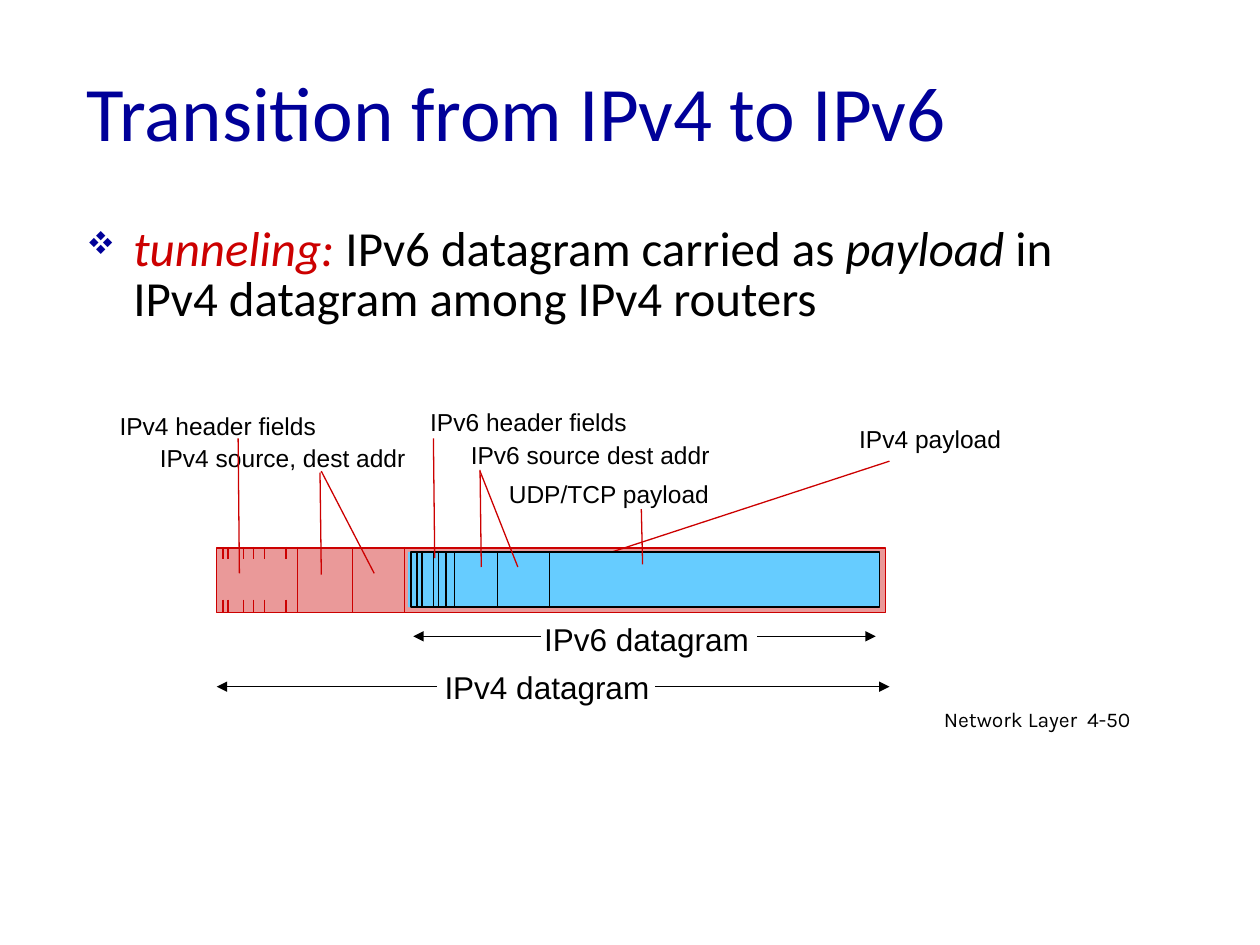
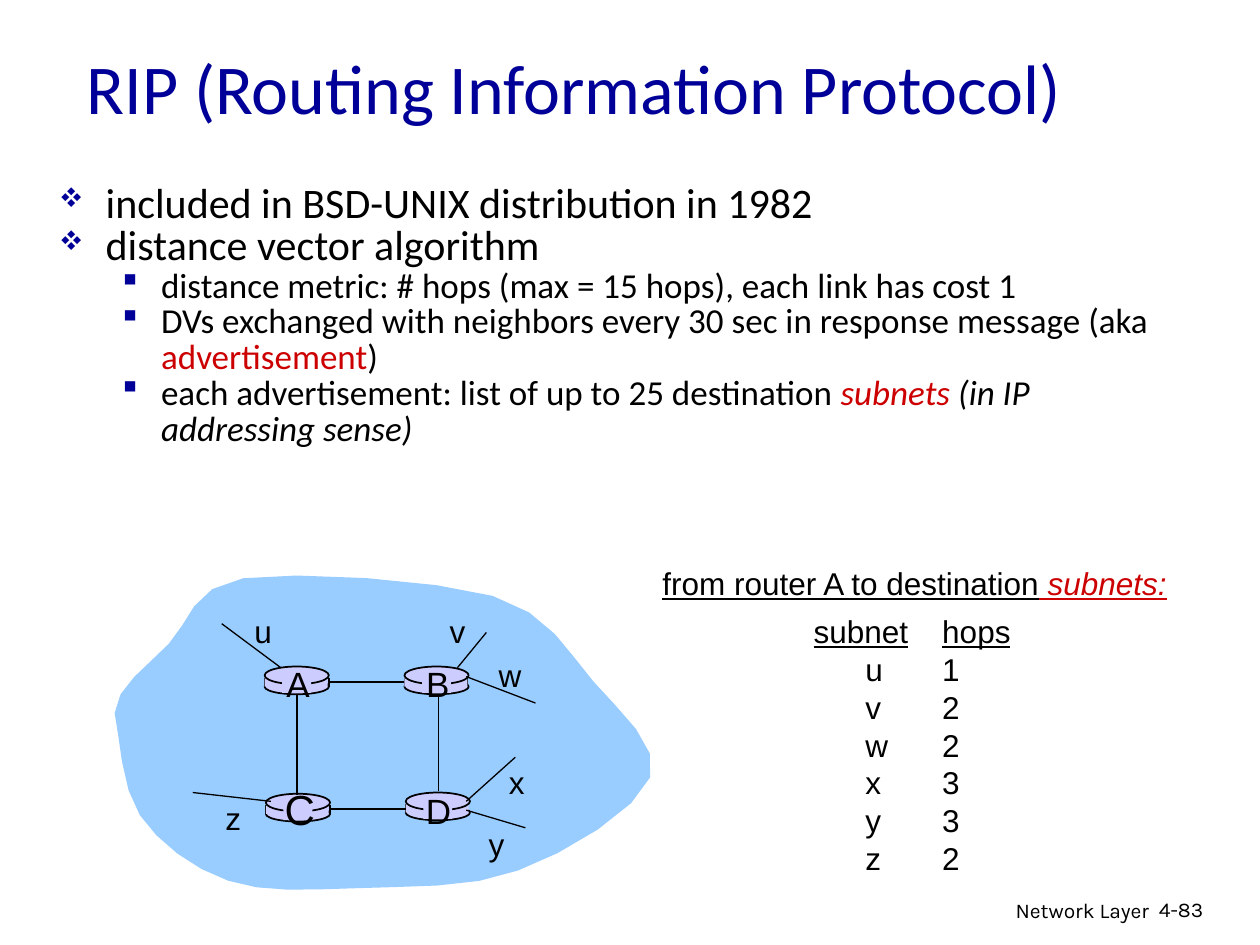
from lxml.etree import SubElement
from pptx import Presentation
from pptx.dml.color import RGBColor
from pptx.enum.shapes import MSO_CONNECTOR, MSO_SHAPE
from pptx.enum.text import MSO_ANCHOR, MSO_AUTO_SIZE, PP_ALIGN
from pptx.oxml.ns import qn
from pptx.util import Pt

PX = 9144  # 100 px to the inch
RECT, OVAL = MSO_SHAPE.RECTANGLE, MSO_SHAPE.OVAL
LEFT, MID, RIGHT = PP_ALIGN.LEFT, PP_ALIGN.CENTER, PP_ALIGN.RIGHT
TOP, CENTER = MSO_ANCHOR.TOP, MSO_ANCHOR.MIDDLE
GROW, FIXED = MSO_AUTO_SIZE.SHAPE_TO_FIT_TEXT, MSO_AUTO_SIZE.NONE
STRAIGHT = MSO_CONNECTOR.STRAIGHT


class Theme:
    navy = RGBColor.from_string("000099")
    red = RGBColor.from_string("CC0000")
    black = RGBColor.from_string("000000")
    blue = RGBColor.from_string("66CCFF")
    cloud = RGBColor.from_string("99CCFF")
    lilac = RGBColor.from_string("CCCCFF")
    head, label, foot, signs = "Calibri", "Arial", "Karla", "Wingdings"
    small, note, text, node, big = 12, 14, 18, 20, 24
    thin, thick = 0.75, 1
    tight = 0.85
    # level: left margin, hanging indent, Wingdings sign, sign size in percent
    bullets = {0: (37, -37, "v", 65), 1: (81, -31, "§", 100)}


def write(slide, box, paras, font=Theme.label, align=LEFT, wrap=False,
          anchor=TOP, space=None, tabs=()):
    """Each paragraph is (bullet level or None, size, runs);
    each run is (words, colour, flags), with i for italic and u for underline."""
    frame = slide.shapes.add_textbox(*(n * PX for n in box)).text_frame
    frame.word_wrap = wrap
    frame.auto_size = FIXED if wrap else GROW
    frame.vertical_anchor = anchor
    for i, (level, size, runs) in enumerate(paras):
        para = frame.add_paragraph() if i else frame.paragraphs[0]
        para.alignment = align
        if space:
            para.line_spacing = space
        props = para._p.get_or_add_pPr()
        if level is not None:
            para.level = level
            left, hang, sign, scale = Theme.bullets[level]
            props.set("marL", str(left * PX))
            props.set("indent", str(hang * PX))
            tint = SubElement(props, qn("a:buClr"))
            SubElement(tint, qn("a:srgbClr"), val=str(Theme.navy))
            SubElement(props, qn("a:buSzPct"), val=str(scale * 1000))
            SubElement(props, qn("a:buFont"), typeface=Theme.signs)
            SubElement(props, qn("a:buChar"), char=sign)
        if tabs:
            stops = SubElement(props, qn("a:tabLst"))
            for stop in tabs:
                SubElement(stops, qn("a:tab"), pos=str(stop * PX), algn="l")
        for words, color, flags in runs:
            run = para.add_run()
            run.text = words
            run.font.name, run.font.size = font, Pt(size)
            run.font.color.rgb = color
            run.font.italic = "i" in flags
            run.font.underline = "u" in flags


def draw(slide, ends, color=Theme.black, width=Theme.thin, arrow=False):
    """Straight line from the first point to the second."""
    line = slide.shapes.add_connector(STRAIGHT, *(n * PX for n in ends))
    line.line.color.rgb = color
    line.line.width = Pt(width)
    SubElement(line._element.spPr, qn("a:effectLst"))
    if arrow:
        SubElement(line.line._get_or_add_ln(), qn("a:tailEnd"), type="triangle")


deck = Presentation()
deck.slide_width, deck.slide_height = 1000 * PX, 750 * PX
NAVY, RED, BLACK = Theme.navy, Theme.red, Theme.black

# Titles, bullets and footers
pages = [
    dict(title="Transition from IPv4 to IPv6", size=44, top=(59, 25, 850, 125),
         body=(59, 175, 850, 107), foot=(548, 556), page="4-50",
         points=[
             (0, 28, [("tunneling:", RED, "i"),
                      (" IPv6 datagram carried as ", BLACK, ""),
                      ("payload", BLACK, "i"),
                      (" in IPv4 datagram among IPv4 routers", BLACK, "")])]),
    dict(title="RIP (Routing Information Protocol)", size=40, top=(59, 17, 894, 103),
         body=(37, 141, 915, 185), foot=(605, 707), page="4-83",
         points=[
             (0, 24, [("included in BSD-UNIX distribution in 1982", BLACK, "")]),
             (0, 24, [("distance vector algorithm", BLACK, "")]),
             (1, 20, [("distance metric: # hops (max = 15 hops), "
                       "each link has cost 1", BLACK, "")]),
             (1, 20, [("DVs exchanged with neighbors every 30 sec "
                       "in response message (aka ", BLACK, ""),
                      ("advertisement", RED, ""), (")", BLACK, "")]),
             (1, 20, [("each advertisement: list of up to 25 destination ", BLACK, ""),
                      ("subnets ", RED, "i"),
                      ("(in IP addressing sense)", BLACK, "i")])]),
]
slides = []
for page in pages:
    slide = deck.slides.add_slide(deck.slide_layouts[6])
    slides.append(slide)
    write(slide, page["top"], [(None, page["size"], [(page["title"], NAVY, "")])],
          Theme.head, wrap=True, anchor=CENTER)
    write(slide, page["body"], page["points"], Theme.head, wrap=True,
          space=Theme.tight)
    x, y = page["foot"]
    write(slide, (x, y, 317, 31), [(None, Theme.small, [("Network Layer", BLACK, "")])],
          Theme.foot, RIGHT, wrap=True)
    write(slide, (x + 305, y, 74, 30), [(None, Theme.small, [(page["page"], BLACK, "")])],
          Theme.foot, wrap=True)
tunnel, rip = slides

# Tunnel: payload pointer, then the nested datagrams over it
draw(tunnel, (706, 366, 440, 453), RED)
for box, fill, edge, width, alpha in [
    ((172, 435, 531, 51), RED, RED, Theme.thin, 40),
    ((324, 438, 374, 44), Theme.blue, None, 0, 100),
    ((326, 438, 372, 44), Theme.blue, BLACK, Theme.thick, 100),
]:
    block = tunnel.shapes.add_shape(RECT, *(n * PX for n in box))
    block.shadow.inherit = False
    block.fill.solid()
    block.fill.fore_color.rgb = fill
    if alpha < 100:
        tint = block._element.spPr.find(qn("a:solidFill"))[0]
        SubElement(tint, qn("a:alpha"), val=str(alpha * 1000))
    if edge is None:
        block.line.fill.background()
    else:
        block.line.color.rgb = edge
        block.line.width = Pt(width)

# Tunnel: field marks
for x in (236, 280, 321):
    draw(tunnel, (x, 434, x, 486), RED)
for x in (177, 181, 193, 201, 210, 227):
    for y in (434, 476):
        draw(tunnel, (x, y, x, y + 10), RED)
for x in (331, 335, 344, 348, 354, 361, 395, 436):
    draw(tunnel, (x, 438, x, 482))

# Tunnel: labels and their leaders
for words, box, size, space in [
    ("IPv4 source, dest addr", (117, 347, 221, 34), Theme.note, None),
    ("IPv4 header fields", (85, 321, 182, 34), Theme.note, None),
    ("IPv4 payload", (672, 332, 139, 34), Theme.note, None),
    ("UDP/TCP payload", (394, 375, 180, 34), Theme.note, None),
    ("IPv6 source dest addr", (363, 348, 211, 30), Theme.note, Theme.tight),
    ("IPv6 header fields", (331, 322, 177, 30), Theme.note, Theme.tight),
    ("IPv4 datagram", (343, 525, 184, 40), Theme.text, None),
    ("IPv6 datagram", (422, 487, 184, 40), Theme.text, None),
]:
    write(tunnel, box, [(None, size, [(words, BLACK, "")])],
          align=MID if space else LEFT, space=space)
for ends in [
    (254, 375, 255, 456), (255, 374, 297, 455), (189, 348, 190, 455),
    (381, 373, 382, 450), (381, 374, 411, 450), (344, 348, 345, 443),
    (509, 404, 510, 448),
]:
    draw(tunnel, ends, RED)

# Tunnel: extent arrows
for y, start, left, right, end in [(545, 172, 347, 520, 706), (505, 328, 429, 601, 695)]:
    draw(tunnel, (left, y, start, y), arrow=True)
    draw(tunnel, (right, y, end, y), arrow=True)

# RIP: cloud outline, each row two handles and the next point of a cubic curve
curves = [
    (92, 545, 117, 529, 134, 511), (151, 494, 151, 466, 193, 459),
    (236, 453, 344, 460, 391, 473), (437, 487, 450, 517, 471, 541),
    (492, 565, 525, 592, 516, 617), (506, 643, 450, 677, 411, 691),
    (373, 706, 321, 703, 283, 705), (244, 706, 210, 709, 181, 699),
    (152, 689, 126, 669, 111, 647), (96, 625, 95, 583, 91, 566),
]
STEPS = 4
x, y = 91, 566
dots = []
for a, b, c, d, u, v in curves:
    for step in range(1, STEPS + 1):
        t = step / STEPS
        s = 1 - t
        dots.append(tuple(
            round(PX * (s**3 * p + 3 * s * s * t * q + 3 * s * t * t * r + t**3 * e))
            for p, q, r, e in ((x, a, c, u), (y, b, d, v))))
    x, y = u, v
outline = rip.shapes.build_freeform(*dots[-1])
outline.add_line_segments(dots[:-1], close=True)
cloud = outline.convert_to_shape()
cloud.shadow.inherit = False
cloud.fill.solid()
cloud.fill.fore_color.rgb = Theme.cloud
cloud.line.fill.background()

# RIP: routers, D with an open right side
for name, x, y, size, box, sides in [
    ("A", 210, 529, Theme.node, (217, 521, 39, 43), (0, 51)),
    ("B", 321, 529, Theme.node, (328, 521, 39, 43), (0, 50)),
    ("C", 211, 630, Theme.big, (216, 617, 44, 50), (0, 51)),
    ("D", 322, 629, Theme.node, (328, 622, 40, 43), (0,)),
]:
    for side in sides:
        draw(rip, (x + side, y + 9, x + side, y + 16), width=Theme.thick)
    for kind, dx, dy, w, h in [
        (OVAL, 0, 10, 51, 12), (RECT, 0, 9, 50, 7),
        (OVAL, 0, 0, 51, 14), (RECT, 14, 2, 23, 19),
    ]:
        part = rip.shapes.add_shape(kind, (x + dx) * PX, (y + dy) * PX, w * PX, h * PX)
        part.shadow.inherit = False
        part.fill.solid()
        part.fill.fore_color.rgb = Theme.lilac
        if kind == OVAL:
            part.line.color.rgb = BLACK
            part.line.width = Pt(Theme.thick)
        else:
            part.line.fill.background()
    write(rip, box, [(None, size, [(name, BLACK, "")])], align=MID)

# RIP: links between routers, then links to subnets
for ends in [
    (348, 552, 348, 628), (236, 552, 236, 631),
    (322, 642, 263, 642), (321, 541, 262, 541),
]:
    draw(rip, ends, width=Theme.thick)
for ends in [
    (370, 537, 425, 558), (363, 530, 386, 502), (370, 636, 409, 601),
    (370, 643, 417, 657), (223, 530, 176, 495), (215, 636, 153, 629),
]:
    draw(rip, ends)
for name, x, y in [
    ("u", 192, 481), ("v", 347, 481), ("w", 386, 516),
    ("x", 394, 601), ("y", 378, 650), ("z", 169, 629),
]:
    write(rip, (x, y, 34, 40), [(None, Theme.text, [(name, BLACK, "")])])

# RIP: hop list, set in columns by tab stops
write(rip, (516, 443, 423, 40), [(None, Theme.text, [
    ("from router A to destination", BLACK, "u"), (" ", RED, "u"),
    ("subnets:", RED, "iu")])])
hops = [(None, Theme.text, [("subnet", BLACK, "u"), ("\t", BLACK, ""),
                            ("hops", BLACK, "u")])]
for net, count in zip("uvwxyz", (1, 2, 2, 3, 3, 2)):
    hops.append((None, Theme.text, [(f"\t{net}\t{count}", BLACK, "")]))
write(rip, (636, 481, 177, 220), hops, space=Pt(21.6), tabs=(41, 102, 117))

deck.save("out.pptx")
